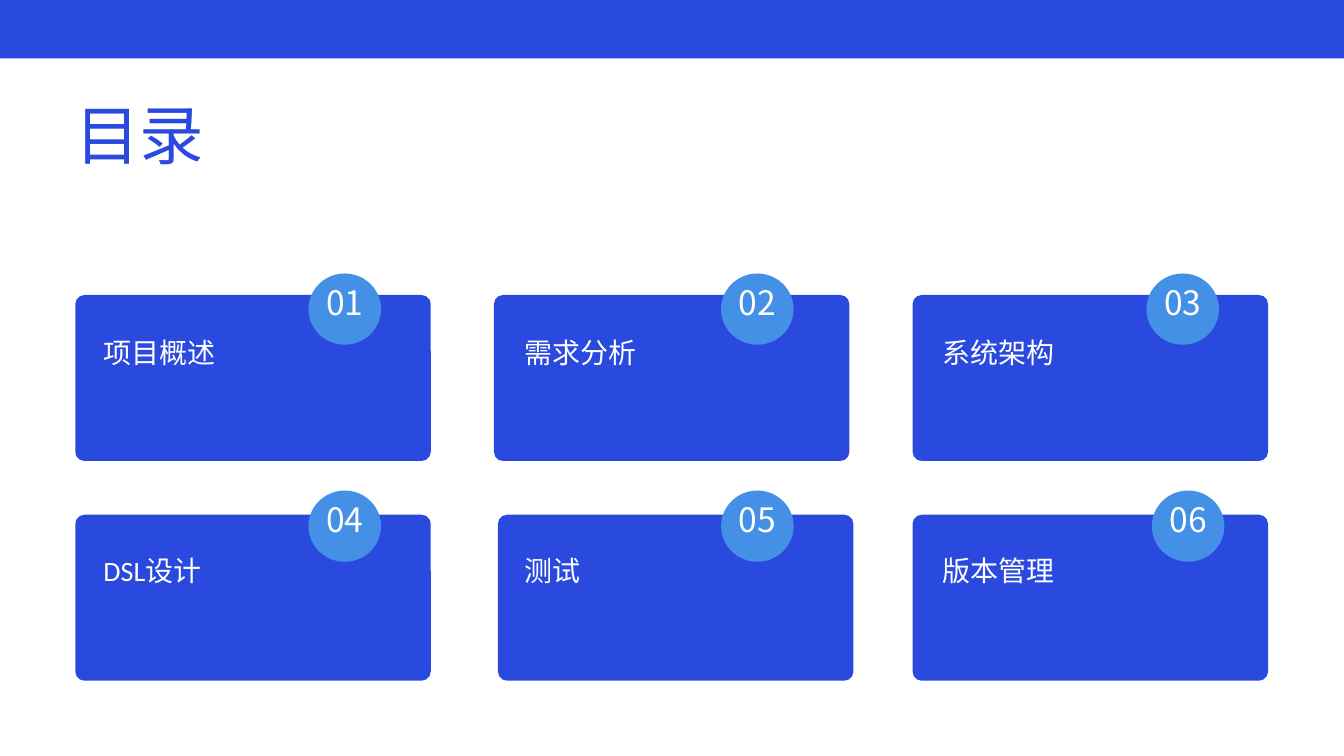
from pptx import Presentation
from pptx.dml.color import RGBColor
from pptx.enum.shapes import MSO_SHAPE as SHAPE
from pptx.enum.text import MSO_ANCHOR as ANCHOR, PP_ALIGN as ALIGN
from pptx.util import Inches, Pt

BLUE, SKY, WHITE = "2A4ADF", "4590E7", "FFFFFF"
CARD_W, CARD_H = 5.29, 2.47
BADGE_W, BADGE_H = 1.08, 1.06
LABEL_LEFTS = (1.54, 7.81, 14.03)
ROWS = (
    (4.39, 4.07, 4.91, (
        ("项目概述", 1.12, 4.59),
        ("需求分析", 7.35, 10.73),
        ("系统架构", 13.58, 17.06),
    )),
    (7.66, 7.3, 8.16, (
        ("DSL设计", 1.12, 4.59),
        ("测试", 7.41, 10.73),
        ("版本管理", 13.58, 17.14),
    )),
)


def rgb(color):
    """Turn a hex string into a colour."""
    return RGBColor.from_string(color)


def add_block(slide, kind, left, top, width, height, color):
    """Add a filled preset shape without outline or shadow."""
    sp = slide.shapes.add_shape(
        kind, Inches(left), Inches(top), Inches(width), Inches(height))
    sp.shadow.inherit = False
    sp.fill.solid()
    sp.fill.fore_color.rgb = rgb(color)
    sp.line.fill.background()
    return sp


def add_text(slide, text, left, top, width, height, *, size, spacing,
             color=WHITE, font="Calibri", align=ALIGN.JUSTIFY,
             anchor=ANCHOR.TOP, inset=0):
    """Add a wrapped one-paragraph text box."""
    box = slide.shapes.add_textbox(
        Inches(left), Inches(top), Inches(width), Inches(height))
    tf = box.text_frame
    tf.word_wrap = True
    tf.vertical_anchor = anchor
    tf.margin_left = tf.margin_right = Inches(inset)
    tf.margin_top = tf.margin_bottom = Inches(inset)
    p = tf.paragraphs[0]
    p.alignment = align
    p.line_spacing = Pt(spacing)
    r = p.add_run()
    r.text = text
    r.font.name = font
    r.font.size = Pt(size)
    r.font.color.rgb = rgb(color)


def add_card(slide, left, top):
    """Add the rounded card behind a section name."""
    card = add_block(slide, SHAPE.ROUNDED_RECTANGLE,
                     left, top, CARD_W, CARD_H, BLUE)
    card.adjustments[0] = 0.055


def add_badge(slide, number, left, top):
    """Add the round badge with a two-digit section number."""
    add_block(slide, SHAPE.OVAL, left, top, BADGE_W, BADGE_H, SKY)
    add_text(slide, f"{number:02d}", left, top - 0.31, BADGE_W, BADGE_H + 0.31,
             size=36, spacing=50.4, font="Noto Sans CJK JP",
             align=ALIGN.CENTER, anchor=ANCHOR.MIDDLE, inset=0.06)


def main():
    """Build the contents slide."""
    prs = Presentation()
    prs.slide_width, prs.slide_height = Inches(20), Inches(11.25)
    s = prs.slides.add_slide(prs.slide_layouts[6])

    add_block(s, SHAPE.RECTANGLE, 0, 0, 20, 0.87, BLUE)
    add_text(s, "目录", 1.12, 1.22, 5.24, 1.28,
             size=69.1, spacing=96.8, color=BLUE)

    number = 0
    for card_top, badge_top, label_top, sections in ROWS:
        for label_left, section in zip(LABEL_LEFTS, sections):
            name, card_left, badge_left = section
            number += 1
            add_card(s, card_left, card_top)
            add_badge(s, number, badge_left, badge_top)
            add_text(s, name, label_left, label_top, 3.12, 0.55,
                     size=30, spacing=42)

    prs.save("out.pptx")


if __name__ == "__main__":
    main()
